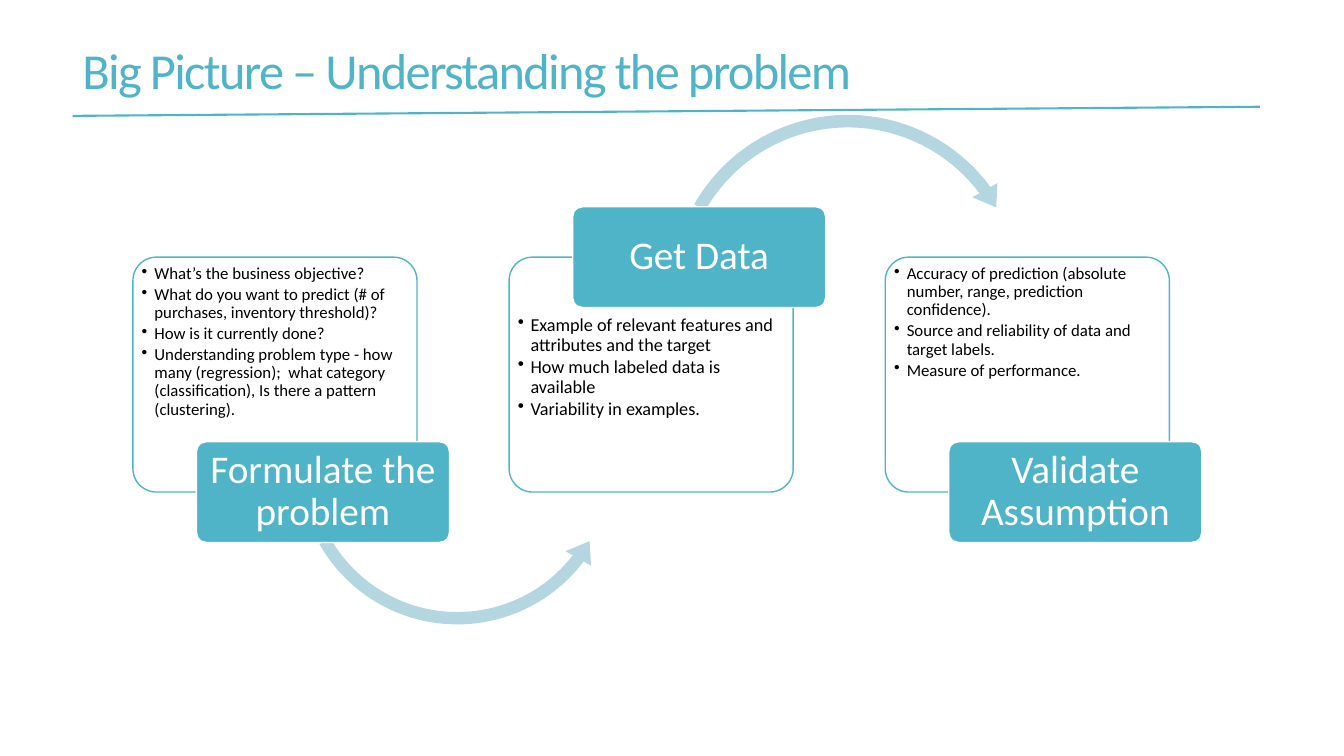
from lxml.etree import SubElement as Sub
from pptx import Presentation as Deck
from pptx.dml.color import RGBColor as Rgb
from pptx.enum.shapes import MSO_CONNECTOR as Link, MSO_SHAPE as Kind
from pptx.enum.text import MSO_ANCHOR as Anchor, PP_ALIGN as Align
from pptx.oxml.ns import qn
from pptx.util import Cm, Pt

HUES = {"teal": "50B4C8", "pale": "B3D6E0", "white": "FFFFFF", "black": "000000"}

STEPS = [
    ("Formulate the problem", False, 12, [
        "What’s the business objective?",
        "What do you want to predict (# of purchases, inventory threshold)?",
        "How is it currently done?",
        "Understanding problem type - how many (regression);  what category "
        "(classification), Is there a pattern (clustering).",
    ]),
    ("Get Data", True, 13, [
        "Example of relevant features and attributes and the target",
        "How much labeled data is available",
        "Variability in examples.",
    ]),
    ("Validate Assumption", False, 12, [
        "Accuracy of prediction (absolute number, range, prediction confidence).",
        "Source and reliability of data and target labels.",
        "Measure of performance.",
    ]),
]

ARCS = [
    (Kind.LEFT_CIRCULAR_ARROW, 7.32, 7.54, 8.41, (0.037, 4.658, 22.413, 90.245, 0.044)),
    (Kind.CIRCULAR_ARROW, 16.71, 2.69, 9.32, (0.034, 4.163, 194.082, 125.755, 0.039)),
]

LEFT, PITCH, TOP = 3.35, 9.48, 6.48


def tint(name):
    return Rgb.from_string(HUES[name])


def put(item, form):
    for key, value in form.items():
        setattr(item, key, value)


class Board:
    font = "Calibri"

    def __init__(self, slide):
        self.slide = slide
        self.shapes = slide.shapes

    def text(self, shape, lines, size, hue, pads, anchor, form):
        frame = shape.text_frame
        left, top, right, base = map(Cm, pads)
        put(frame, {"word_wrap": True, "vertical_anchor": anchor,
                    "margin_left": left, "margin_top": top,
                    "margin_right": right, "margin_bottom": base})
        for i, line in enumerate(lines):
            para = frame.add_paragraph() if i else frame.paragraphs[0]
            put(para, form)
            run = para.add_run()
            run.text = line
            put(run.font, {"name": self.font, "size": Pt(size)})
            run.font.color.rgb = tint(hue)
        return frame.paragraphs

    def title(self, words):
        box = self.shapes.add_textbox(Cm(1.83), Cm(0.61), Cm(29.92), Cm(2.51))
        paras = self.text(box, [words], 36, "teal", (0.25, 0.13, 0.25, 0.13),
                          Anchor.MIDDLE, {"line_spacing": 0.85})
        paras[0].runs[0]._r.get_or_add_rPr().set("spc", "-120")

    def rule(self, *ends):
        line = self.shapes.add_connector(Link.STRAIGHT, *map(Cm, ends))
        line.line.color.rgb = tint("teal")
        line.line.width = Pt(1.5)
        Sub(line._element.spPr, qn("a:effectLst"))

    def block(self, kind, area, fill, edge, tweaks):
        shape = self.shapes.add_shape(kind, *map(Cm, area))
        shape.shadow.inherit = False
        shape.fill.solid()
        shape.fill.fore_color.rgb = tint(fill)
        if edge:
            shape.line.color.rgb = tint(edge)
            shape.line.width = Pt(1)
        else:
            shape.line.fill.background()
        for i, value in enumerate(tweaks):
            shape.adjustments[i] = value
        return shape

    def card(self, left, lines, size, drop):
        card = self.block(Kind.ROUNDED_RECTANGLE, (left, TOP, 7.16, 5.92),
                          "white", "teal", [0.1])
        hue = card._element.spPr.find(qn("a:solidFill"))[0]
        Sub(hue, qn("a:alpha"), val="90000")
        form = {"alignment": Align.LEFT, "line_spacing": 0.9, "space_after": Pt(2)}
        paras = self.text(card, lines, size, "black", (0.05, 0.03 + drop, 0, 0),
                          Anchor.TOP, form)
        for para in paras:
            props = para._p.get_or_add_pPr()
            props.set("marL", str(Cm(0.32)))
            props.set("indent", str(Cm(-0.32)))
            Sub(props, qn("a:buChar"), char="•")

    def label(self, left, top, words):
        tag = self.block(Kind.ROUNDED_RECTANGLE, (left, top, 6.38, 2.54),
                         "teal", "white", [0.1])
        self.text(tag, [words], 28, "white", (0.15, 0.1, 0.15, 0.1), Anchor.MIDDLE,
                  {"alignment": Align.CENTER, "line_spacing": 0.9})

    def arc(self, kind, left, top, side, tweaks):
        self.block(kind, (left, top, side, side), "pale", None, tweaks)


def main():
    deck = Deck()
    put(deck, {"slide_width": Cm(33.87), "slide_height": Cm(19.05)})
    board = Board(deck.slides.add_slide(deck.slide_layouts[6]))
    board.rule(1.83, 2.92, 31.75, 2.69)
    board.title("Big Picture – Understanding the problem")
    for i, (name, above, size, lines) in enumerate(STEPS):
        left = LEFT + i * PITCH
        board.card(left, lines, size, 1.27 if above else 0)
        if i < len(ARCS):
            board.arc(*ARCS[i])
        board.label(left + 1.6, TOP - 1.27 if above else TOP + 4.65, name)
    deck.save("out.pptx")


if __name__ == "__main__":
    main()
